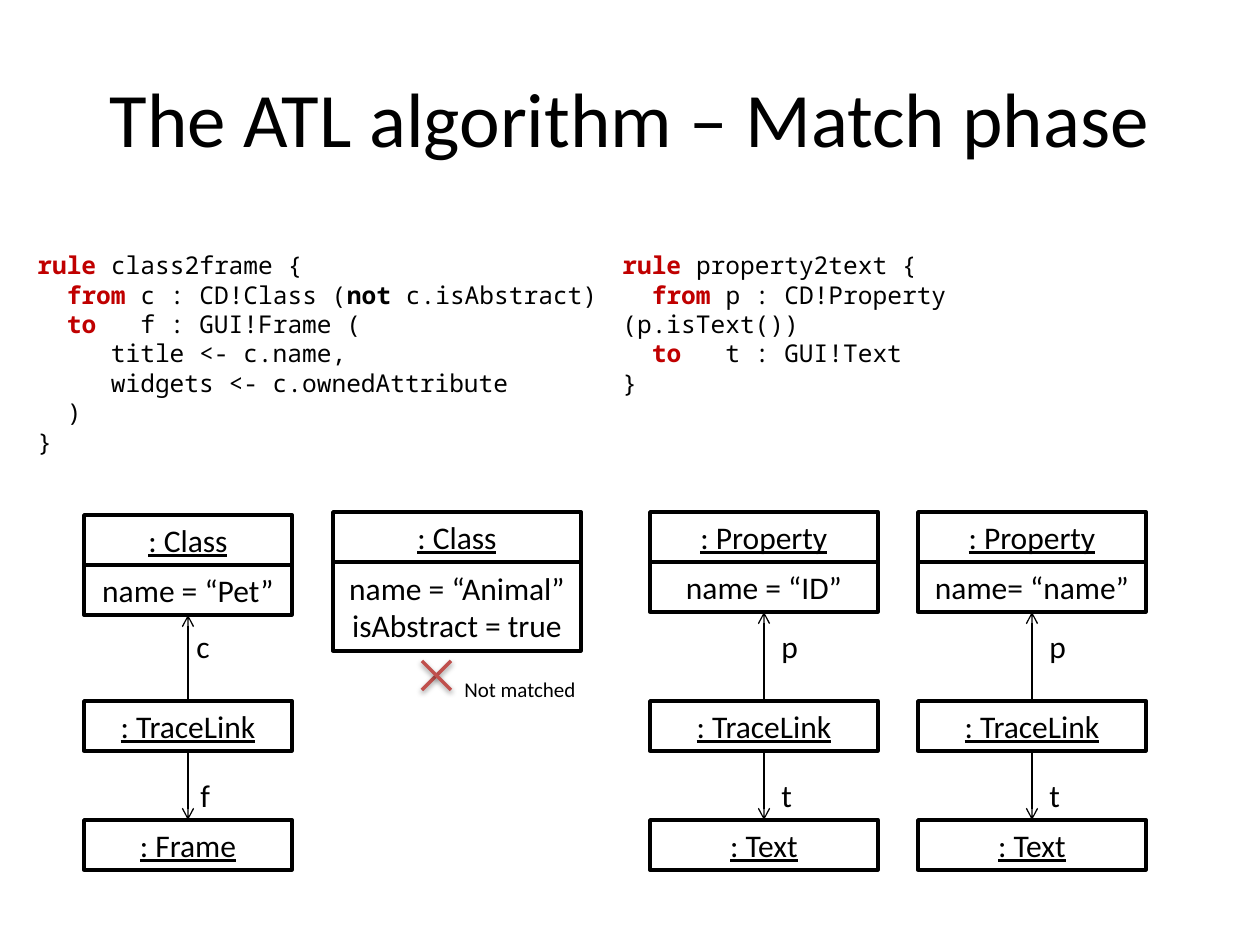
from dataclasses import dataclass
from lxml import etree
from pptx import Presentation
from pptx.dml.color import RGBColor
from pptx.enum.shapes import MSO_CONNECTOR, MSO_SHAPE
from pptx.enum.text import MSO_ANCHOR, PP_ALIGN
from pptx.oxml.ns import qn
from pptx.util import Pt

RECT = MSO_SHAPE.RECTANGLE
LINE = MSO_CONNECTOR.STRAIGHT
LEFT, MID = PP_ALIGN.LEFT, PP_ALIGN.CENTER
TOP, CENTER = MSO_ANCHOR.TOP, MSO_ANCHOR.MIDDLE
SCALE = 914400 / 126


@dataclass
class Theme:
    ink = RGBColor(0, 0, 0)
    paper = RGBColor(255, 255, 255)
    key = RGBColor(0xC0, 0, 0)
    cross = RGBColor(0xC0, 0x50, 0x4D)
    sans = "Calibri"
    mono = "Noto Sans Mono"
    title = 44
    body = 18
    code = 14
    note = 12


theme = Theme()
deck = Presentation()
deck.slide_width, deck.slide_height = round(1260 * SCALE), round(945 * SCALE)
slide = deck.slides.add_slide(deck.slide_layouts[6])
shapes = slide.shapes


def write(text, at, size=theme.body, font=theme.sans, align=LEFT, anchor=TOP,
          wrap=True, under=False, box=False):
    spot = [round(v * SCALE) for v in at]
    if box:
        shape = shapes.add_shape(RECT, *spot)
        shape.shadow.inherit = False
        shape.fill.solid()
        shape.fill.fore_color.rgb = theme.paper
        shape.line.color.rgb = theme.ink
        shape.line.width = Pt(2)
    else:
        shape = shapes.add_textbox(*spot)
    frame = shape.text_frame
    frame.word_wrap = wrap
    frame.vertical_anchor = anchor
    for i, row in enumerate(text.split("\n")):
        para = frame.paragraphs[0] if i == 0 else frame.add_paragraph()
        para.alignment = align
        for part in filter(None, row.split("|")):
            run = para.add_run()
            run.text = part
            run.font.name = font
            run.font.size = Pt(size)
            run.font.underline = under
            run.font.bold = part in ("rule", "from", "to", "not ")
            red = part in ("rule", "from", "to")
            run.font.color.rgb = theme.key if red else theme.ink


def join(x1, y1, x2, y2, color=theme.ink, width=0.75, arrow=True):
    line = shapes.add_connector(LINE, *[round(v * SCALE) for v in (x1, y1, x2, y2)])
    line.line.color.rgb = color
    line.line.width = Pt(width)
    if arrow:
        etree.SubElement(line.line._get_or_add_ln(), qn("a:tailEnd"), type="arrow")
    effect = etree.SubElement(line._element.spPr, qn("a:effectLst"))
    if not arrow:
        shade = etree.SubElement(effect, qn("a:outerShdw"), blurRad=str(Pt(3.1)),
                                 dist=str(Pt(1.6)), dir="5400000", rotWithShape="0")
        tint = etree.SubElement(shade, qn("a:srgbClr"), val="000000")
        etree.SubElement(tint, qn("a:alpha"), val="38000")


write("The ATL algorithm – Match phase", (63, 38, 1134, 157),
      size=theme.title, align=MID, anchor=CENTER)

frame_rule = """|rule| class2frame {
  |from| c : CD!Class (|not |c.isAbstract)
  |to|   f : GUI!Frame (
     title <- c.name,
     widgets <- c.ownedAttribute
  )
}"""
text_rule = """|rule| property2text {
  |from| p : CD!Property (p.isText())
  |to|   t : GUI!Text
}"""
write(text_rule, (610, 244, 515, 131), size=theme.code, font=theme.mono)
write(frame_rule, (25, 244, 719, 220), size=theme.code, font=theme.mono)

high, link, goal = 50, 701, 820
head = dict(align=MID, anchor=CENTER, under=True, box=True)
slot = dict(align=MID, anchor=CENTER, box=True)
chains = [
    (84, 208, 515, ": Class", "name = “Pet”", ": Frame", ("c", -4, 39), ("f", 0, 35)),
    (650, 228, 512, ": Property", "name = “ID”", ": Text", ("p", 5, 43), ("t", 5, 37)),
    (918, 228, 512, ": Property", "name= “name”", ": Text", ("p", 5, 43), ("t", 5, 37)),
]
for x, wide, top, kind, value, target, source_tag, target_tag in chains:
    axis = x + wide / 2
    write(kind, (x, top, wide, high), **head)
    write(value, (x, top + high, wide, high), **slot)
    write(": TraceLink", (x, link, wide, high), **head)
    write(target, (x, goal, wide, high), **head)
    join(axis, link, axis, top + 2 * high)
    join(axis, link + high, axis, goal)
    for (tag, shift, span), y in ((source_tag, 621), (target_tag, 770)):
        write(tag, (axis + shift, y, span, high), wrap=False)

write(": Class", (333, 512, 248, high), **head)
write("name = “Animal”\nisAbstract = true", (333, 512 + high, 248, 89), **slot)
for start, end in ((690, 661), (661, 690)):
    join(422, start, 451, end, color=theme.cross, width=2, arrow=False)
write("Not matched", (452, 670, 137, 38), size=theme.note, wrap=False)

deck.save("out.pptx")
